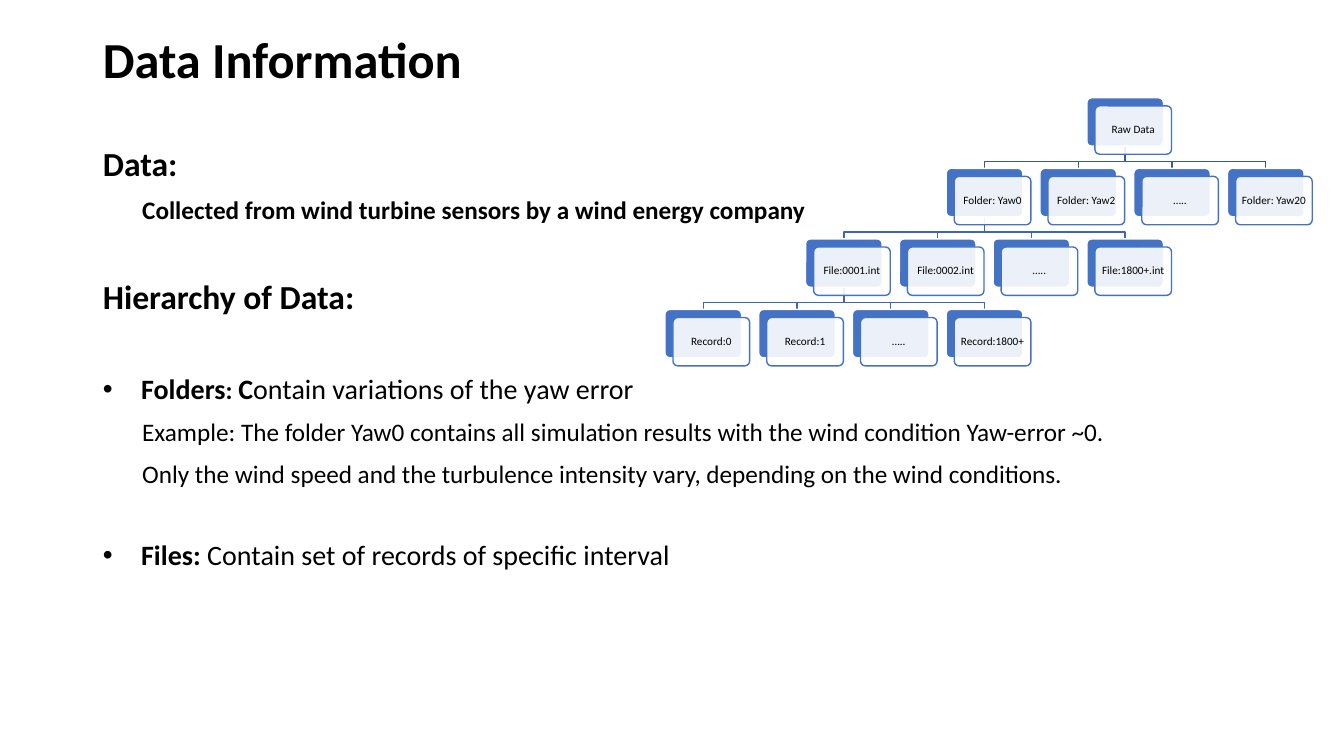
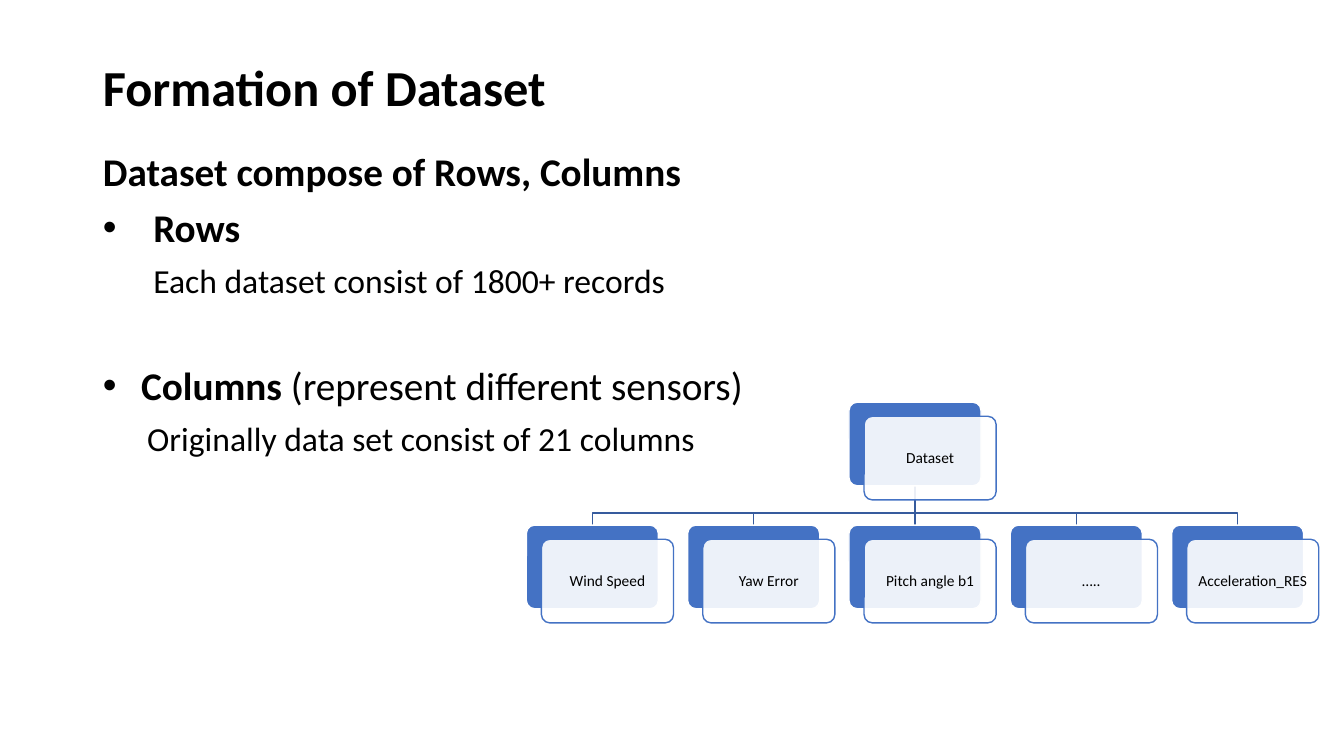
"""Build two slides on wind turbine data and its hierarchy."""
from dataclasses import dataclass

from lxml import etree
from pptx import Presentation
from pptx.dml.color import RGBColor
from pptx.enum.shapes import MSO_CONNECTOR, MSO_SHAPE
from pptx.enum.text import MSO_ANCHOR, MSO_AUTO_SIZE, PP_ALIGN
from pptx.oxml.ns import qn
from pptx.util import Inches, Pt

BLACK = RGBColor(0x00, 0x00, 0x00)
WHITE = RGBColor(0xFF, 0xFF, 0xFF)
BLUE = RGBColor(0x44, 0x72, 0xC4)
ROOT_LINK = RGBColor(0x36, 0x5B, 0x9D)
LOWER_LINK = RGBColor(0x3E, 0x67, 0xB2)
FONT = "Calibri"
LEFT, MIDDLE_ALIGN = PP_ALIGN.LEFT, PP_ALIGN.CENTER
TOP, MIDDLE = MSO_ANCHOR.TOP, MSO_ANCHOR.MIDDLE
NO_FIT = MSO_AUTO_SIZE.NONE
ROUNDED, STRAIGHT = MSO_SHAPE.ROUNDED_RECTANGLE, MSO_CONNECTOR.STRAIGHT
MARGIN, CONTENT_WIDTH = 0.92, 11.5


@dataclass(frozen=True)
class Run:
    """A stretch of text in one size and weight."""
    text: str
    size: float
    bold: bool = False


@dataclass(frozen=True)
class Para:
    """A body paragraph with its indent, bullet and gap above."""
    runs: tuple[Run, ...]
    indent: float = 0
    bullet: bool = False
    before: float = 10


@dataclass(frozen=True)
class Tree:
    """Rows of cards, each row centred under the first card above it."""
    rows: tuple[tuple[str, ...], ...]
    left: float
    top: float
    width: float
    height: float
    pitch_x: float
    pitch_y: float
    offset_x: float
    offset_y: float
    bend: float
    inset: float
    size: float


@dataclass(frozen=True)
class Page:
    """The content of one slide."""
    title: str
    title_top: float
    body_top: float
    body_height: float
    paras: tuple[Para, ...]
    tree: Tree


PAGES = (
    Page(
        "Data Information", 0.12, 1.41, 5.35,
        (
            Para((Run("Data:", 24, True),)),
            Para((Run("Collected from wind turbine sensors by "
                      "a wind energy company", 18, True),), 0.39),
            Para((Run("Hierarchy of Data:", 24, True),), before=40),
            Para((Run("Folders", 20, True), Run(": ", 18, True),
                  Run("C", 20, True),
                  Run("ontain variations of the yaw error", 20)),
                 0.38, True, 42),
            Para((Run("Example: The folder Yaw0 contains all simulation "
                      "results with the wind condition Yaw-error ~0.", 18),),
                 0.39),
            Para((Run("Only the wind speed and the turbulence intensity vary, "
                      "depending on the wind conditions.", 18),), 0.39),
            Para((Run("Files: ", 20, True),
                  Run("Contain set of records of specific interval", 20)),
                 0.38, True, 37.5),
        ),
        Tree(
            (("Raw Data",),
             ("Folder: Yaw0", "Folder: Yaw2", "…..", "Folder: Yaw20"),
             ("File:0001.int", "File:0002.int", "…..", "File:1800+.int"),
             ("Record:0", "Record:1", "…..", "Record:1800+")),
            left=10.78, top=0.97, width=0.76, height=0.48,
            pitch_x=0.93, pitch_y=0.7, offset_x=0.08, offset_y=0.08,
            bend=0.07, inset=0.03, size=8),
    ),
    Page(
        "Formation of Dataset", 0.4, 1.46, 5.3,
        (
            Para((Run("Dataset compose of Rows, Columns", 28, True),)),
            Para((Run("Rows", 28, True),), 0.5, True),
            Para((Run("Each dataset consist of 1800+ records", 24),), 0.5),
            Para((Run("Columns ", 28, True),
                  Run("(represent different sensors)", 28)), 0.38, True, 46.5),
            Para((Run("Originally data set consist of 21 columns", 24),), 0.44),
        ),
        Tree(
            (("Dataset",),
             ("Wind Speed", "Yaw Error", "Pitch angle b1", "…..",
              "Acceleration_RES")),
            left=8.42, top=3.99, width=1.31, height=0.83,
            pitch_x=1.6, pitch_y=1.22, offset_x=0.15, offset_y=0.14,
            bend=0.12, inset=0.05, size=11),
    ),
)


def add_runs(p, runs: tuple[Run, ...], align=LEFT) -> None:
    """Write the runs into a paragraph in the deck's text style."""
    p.alignment = align
    p.line_spacing = 0.9
    for run in runs:
        r = p.add_run()
        r.text = run.text
        r.font.name = FONT
        r.font.size = Pt(run.size)
        r.font.bold = run.bold
        r.font.color.rgb = BLACK


def place(sp, top: float, height: float, anchor):
    """Move a placeholder to the content column and return its text frame."""
    sp.left, sp.top = Inches(MARGIN), Inches(top)
    sp.width, sp.height = Inches(CONTENT_WIDTH), Inches(height)
    tf = sp.text_frame
    tf.word_wrap = True
    tf.auto_size = NO_FIT
    tf.vertical_anchor = anchor
    return tf


def set_bullet(p, para: Para) -> None:
    """Set the indent and the bullet of a paragraph."""
    pPr = p._p.get_or_add_pPr()
    indent = Inches(para.indent)
    pPr.set("marL", str(indent))
    pPr.set("indent", str(-indent if para.bullet else 0))
    if para.bullet:
        etree.SubElement(pPr, qn("a:buFont")).set("typeface", "Arial")
        etree.SubElement(pPr, qn("a:buChar")).set("char", "•")
    else:
        etree.SubElement(pPr, qn("a:buNone"))


def fill_body(tf, paras: tuple[Para, ...]) -> None:
    """Write the body paragraphs."""
    for i, para in enumerate(paras):
        p = tf.add_paragraph() if i else tf.paragraphs[0]
        add_runs(p, para.runs)
        p.space_before = Pt(para.before)
        p.space_after = Pt(0)
        set_bullet(p, para)


def add_link(shapes, start: tuple[float, float], end: tuple[float, float],
             bend: float, color: RGBColor) -> None:
    """Draw the line from a parent card to a child card."""
    (x1, y1), (x2, y2) = start, end
    if abs(x1 - x2) < 0.01:
        sp = shapes.add_connector(STRAIGHT, Inches(x1), Inches(y1),
                                  Inches(x2), Inches(y2))
    else:
        corners = ((x1, y2 - bend), (x2, y2 - bend), end)
        builder = shapes.build_freeform(Inches(x1), Inches(y1))
        builder.add_line_segments(
            [(Inches(x), Inches(y)) for x, y in corners], close=False)
        sp = builder.convert_to_shape()
        sp.fill.background()
    sp.line.color.rgb = color
    sp.line.width = Pt(1)
    etree.SubElement(sp._element.spPr, qn("a:effectLst"))


def add_panel(shapes, tree: Tree, x: float, y: float,
              fill: RGBColor, line: RGBColor):
    """Draw one rounded panel of a card."""
    sp = shapes.add_shape(ROUNDED, Inches(x), Inches(y),
                          Inches(tree.width), Inches(tree.height))
    sp.adjustments[0] = 0.1
    sp.shadow.inherit = False
    sp.fill.solid()
    sp.fill.fore_color.rgb = fill
    sp.line.color.rgb = line
    sp.line.width = Pt(1)
    return sp


def add_card(shapes, tree: Tree, x: float, y: float, label: str) -> None:
    """Draw a blue panel with a translucent labelled panel over it."""
    add_panel(shapes, tree, x, y, BLUE, WHITE)
    sp = add_panel(shapes, tree, x + tree.offset_x, y + tree.offset_y,
                   WHITE, BLUE)
    color = sp._element.spPr.find(qn("a:solidFill")).find(qn("a:srgbClr"))
    etree.SubElement(color, qn("a:alpha")).set("val", "90000")
    tf = sp.text_frame
    tf.word_wrap = True
    tf.vertical_anchor = MIDDLE
    tf.margin_left = tf.margin_right = Inches(tree.inset)
    tf.margin_top = tf.margin_bottom = Inches(tree.inset)
    add_runs(tf.paragraphs[0], (Run(label, tree.size),), MIDDLE_ALIGN)


def add_tree(s, tree: Tree) -> None:
    """Draw the links and then the cards as one group."""
    shapes = s.shapes.add_group_shape().shapes
    half = tree.width / 2
    parent_x = tree.left
    cards = []
    for level, labels in enumerate(tree.rows):
        y = tree.top + level * tree.pitch_y
        first_x = parent_x - (len(labels) - 1) / 2 * tree.pitch_x
        for i, label in enumerate(labels):
            x = first_x + i * tree.pitch_x
            cards.append((x, y, label))
            if level:
                start = (parent_x + half, y - tree.pitch_y + tree.height)
                add_link(shapes, start, (x + half, y), tree.bend,
                         ROOT_LINK if level == 1 else LOWER_LINK)
        parent_x = first_x
    for x, y, label in cards:
        add_card(shapes, tree, x, y, label)


def add_page(prs, page: Page) -> None:
    """Add one slide with title, body and tree."""
    s = prs.slides.add_slide(prs.slide_layouts[1])
    tf = place(s.shapes.title, page.title_top, 0.99, MIDDLE)
    add_runs(tf.paragraphs[0], (Run(page.title, 36, True),))
    fill_body(place(s.placeholders[1], page.body_top, page.body_height, TOP),
              page.paras)
    add_tree(s, page.tree)


def main() -> None:
    """Build and save the deck."""
    prs = Presentation()
    prs.slide_width, prs.slide_height = Inches(13.33), Inches(7.5)
    for page in PAGES:
        add_page(prs, page)
    prs.save("out.pptx")


if __name__ == "__main__":
    main()
